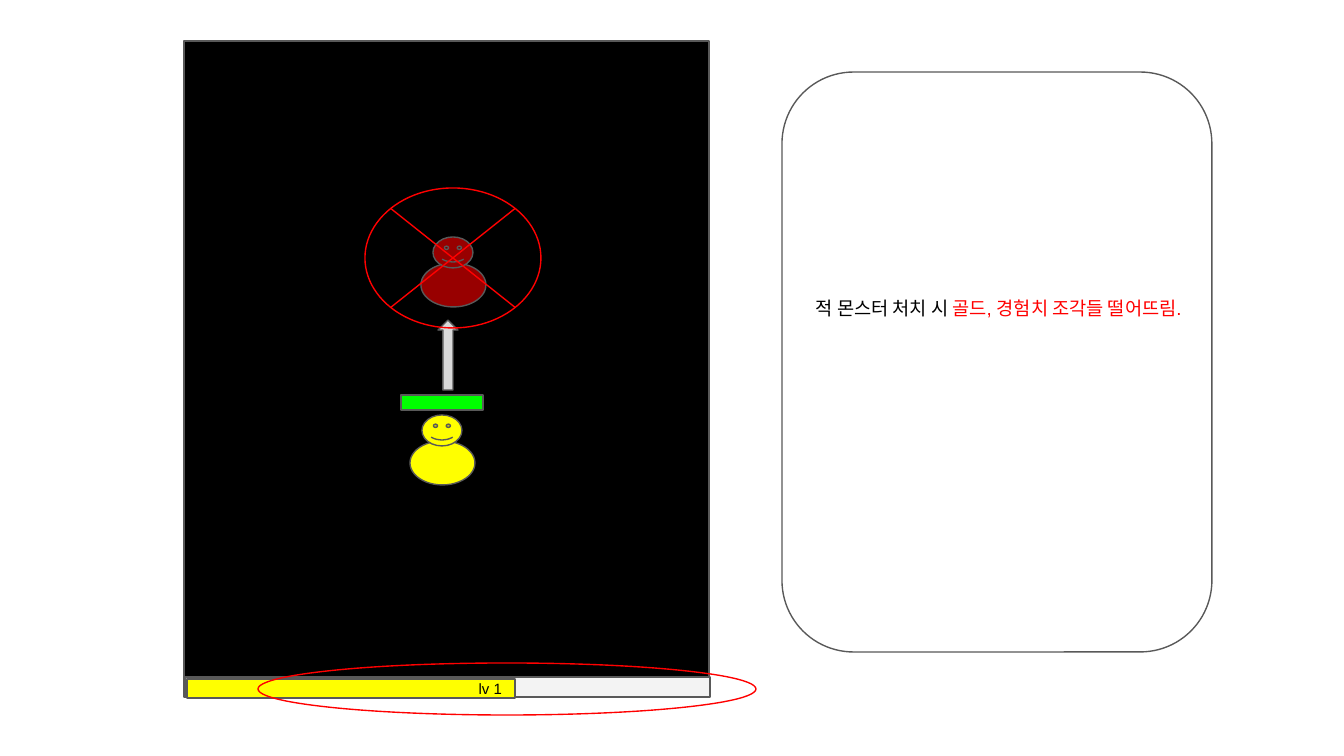
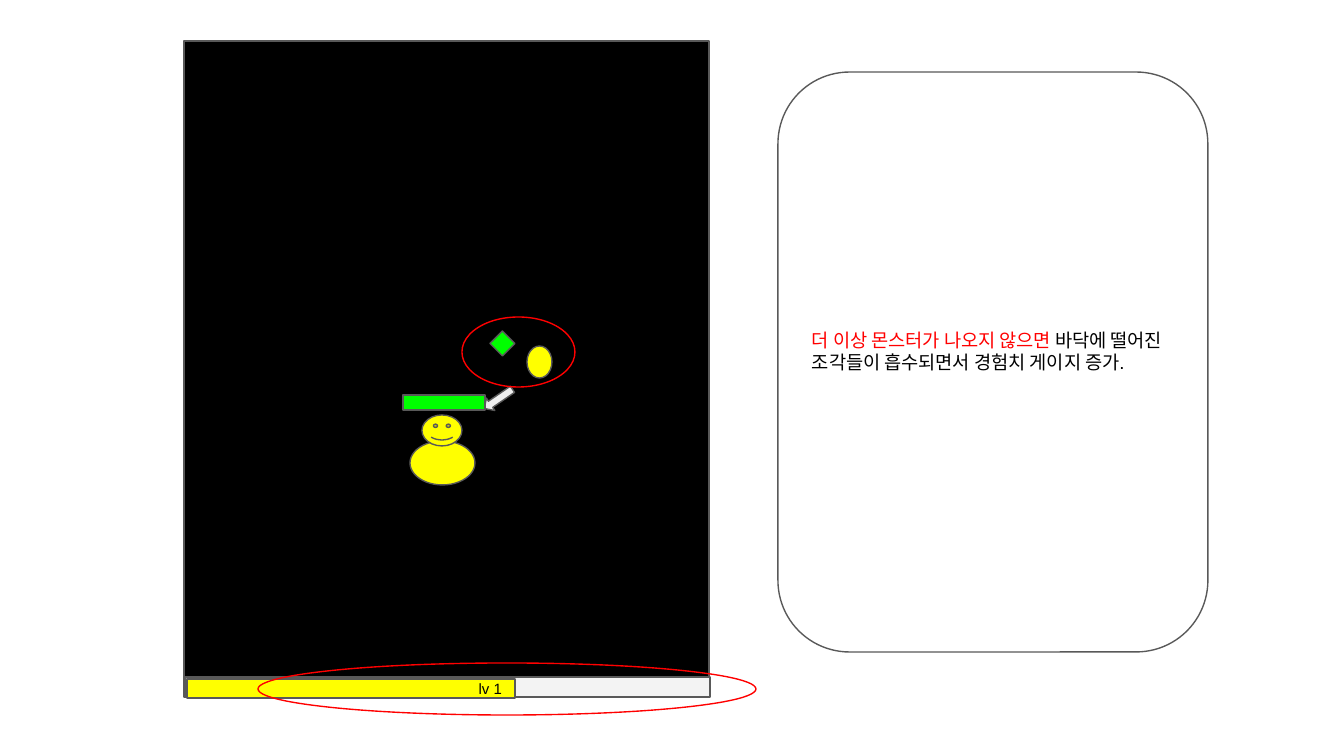
from pptx import Presentation
from pptx.dml.color import RGBColor
from pptx.enum.shapes import MSO_SHAPE as SHAPE
from pptx.enum.text import MSO_ANCHOR as ANCHOR, PP_ALIGN as ALIGN
from pptx.util import Pt

PX = 9144000 / 1344
FONT = "Arial"
BLACK = RGBColor(0x00, 0x00, 0x00)
GREY = RGBColor(0x59, 0x59, 0x59)
LIGHT_GREY = RGBColor(0xF3, 0xF3, 0xF3)
ARROW_GREY = RGBColor(0xD9, 0xD9, 0xD9)
PALE_ARROW = RGBColor(0xEE, 0xEE, 0xEE)
RED = RGBColor(0xFF, 0x00, 0x00)
DARK_RED = RGBColor(0x98, 0x00, 0x00)
YELLOW = RGBColor(0xFF, 0xFF, 0x00)
GREEN = RGBColor(0x00, 0xFF, 0x00)


def add_shape(shapes, kind, box, fill=None, line=GREY, rotation=0):
    shape = shapes.add_shape(kind, *[round(value * PX) for value in box])
    shape.shadow.inherit = False
    shape.rotation = rotation
    if fill is None:
        shape.fill.background()
    else:
        shape.fill.solid()
        shape.fill.fore_color.rgb = fill
    shape.line.color.rgb = line
    shape.line.width = Pt(0.75)
    return shape


def write_text(shape, *runs, size=10, align=ALIGN.LEFT, bottom=13):
    frame = shape.text_frame
    frame.word_wrap = True
    frame.vertical_anchor = ANCHOR.MIDDLE
    frame.margin_left = frame.margin_right = frame.margin_top = round(13 * PX)
    frame.margin_bottom = round(bottom * PX)
    paragraph = frame.paragraphs[0]
    paragraph.alignment = align
    for text, color in runs:
        run = paragraph.add_run()
        run.text = text
        run.font.name = FONT
        run.font.size = Pt(size)
        run.font.color.rgb = color


presentation = Presentation()
presentation.slide_width = round(1344 * PX)
presentation.slide_height = round(756 * PX)

PLAYER = (410, 415, YELLOW)
MONSTER = (421, 237, DARK_RED)

scenes = [
    {
        "characters": [PLAYER, MONSTER],
        "panel_left": 782,
        "text_bottom": 121,
        "runs": [("적 몬스터 처치 시 ", BLACK), ("골드, 경험치 조각들 떨어뜨림.", RED)],
        "items": [
            (SHAPE.UP_ARROW, (438, 320, 20, 70), ARROW_GREY, GREY, 0),
            (SHAPE.FLOWCHART_SUMMING_JUNCTION, (365, 188, 176, 140), None, RED, 0),
        ],
        "health_left": 401,
    },
    {
        "characters": [PLAYER],
        "panel_left": 778,
        "text_bottom": 35,
        "runs": [
            ("더 이상 몬스터가 나오지 않으면", RED),
            (" 바닥에 떨어진 조각들이 흡수되면서 경험치 게이지 증가.", BLACK),
        ],
        "items": [
            (SHAPE.OVAL, (527, 346, 25, 32), YELLOW, GREY, 0),
            (SHAPE.DIAMOND, (490, 331, 25, 25), GREEN, GREY, 0),
            (SHAPE.DOWN_ARROW, (491, 382, 15, 34), PALE_ARROW, GREY, 55.6),
            (SHAPE.OVAL, (462, 317, 113, 70), None, RED, 0),
        ],
        "health_left": 403,
    },
]

for scene in scenes:
    slide = presentation.slides.add_slide(presentation.slide_layouts[6])
    shapes = slide.shapes

    add_shape(shapes, SHAPE.RECTANGLE, (184, 41, 525, 656), BLACK)
    for left, top, color in scene["characters"]:
        character = shapes.add_group_shape().shapes
        add_shape(character, SHAPE.OVAL, (left, top + 26, 65, 44), color)
        add_shape(character, SHAPE.SMILEY_FACE, (left + 12, top, 40, 31), color)

    add_shape(shapes, SHAPE.RECTANGLE, (185, 677, 525, 20), LIGHT_GREY)
    gauge = add_shape(shapes, SHAPE.RECTANGLE, (187, 679, 328, 19), YELLOW)
    write_text(gauge, ("lv 1", BLACK), size=8, align=ALIGN.RIGHT)
    add_shape(shapes, SHAPE.OVAL, (258, 663, 498, 52), line=RED)

    panel = add_shape(shapes, SHAPE.ROUNDED_RECTANGLE, (scene["panel_left"], 72, 430, 580))
    write_text(panel, *scene["runs"], bottom=scene["text_bottom"])

    for kind, box, fill, line, rotation in scene["items"]:
        add_shape(shapes, kind, box, fill, line, rotation)
    add_shape(shapes, SHAPE.RECTANGLE, (scene["health_left"], 395, 82, 15), GREEN)

presentation.save("out.pptx")
